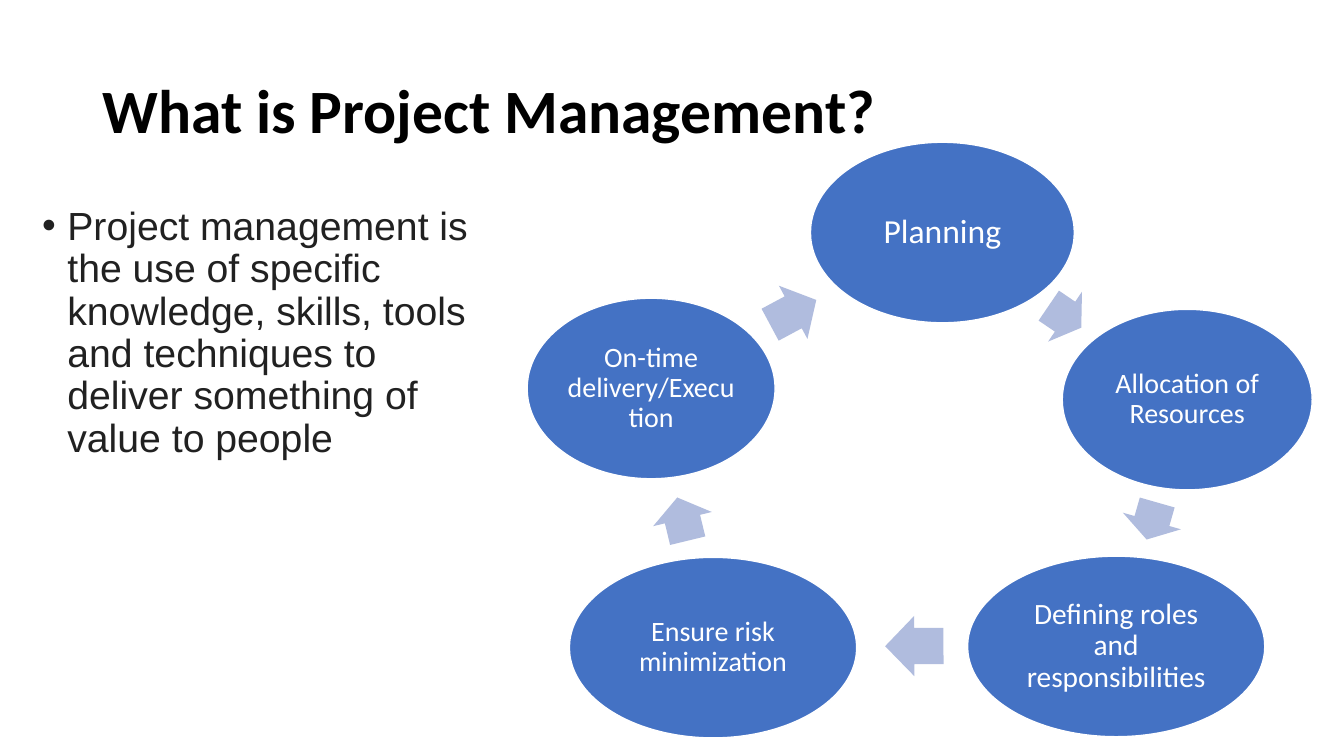
from dataclasses import dataclass

import lxml.etree
import pptx
import pptx.dml.color
import pptx.enum.shapes
import pptx.enum.text
import pptx.oxml.ns
import pptx.util

Cm = pptx.util.Cm
Pt = pptx.util.Pt
SHAPE = pptx.enum.shapes.MSO_SHAPE
ANCHOR = pptx.enum.text.MSO_ANCHOR
ALIGN = pptx.enum.text.PP_ALIGN

BLUE, PALE_BLUE, WHITE = "4472C4", "B0BCDE", "FFFFFF"
STAGE_HEIGHT = 4.55
ARROW_HEIGHT = 1.52


@dataclass
class Stage:
    """An ellipse of the cycle, placed by its centre in cm."""
    text: str
    x: float
    y: float
    width: float
    size: int


@dataclass
class Arrow:
    """A block arrow between two stages, placed by its centre in cm."""
    x: float
    y: float
    width: float
    rotation: float


STAGES = [
    Stage("Planning", 23.75, 5.86, 6.65, 24),
    Stage("Allocation of Resources", 29.92, 10.07, 6.3, 20),
    Stage("Defining roles and responsibilities", 28.13, 16.29, 7.49, 21),
    Stage("Ensure risk minimization", 17.97, 16.32, 7.24, 20),
    Stage("On-time delivery/Execution", 16.41, 9.79, 6.25, 20),
]
ARROWS = [
    Arrow(26.84, 7.98, 0.99, 34.2),
    Arrow(29.03, 13.13, 0.97, 106),
    Arrow(23.04, 16.28, 1.47, 179.8),
    Arrow(17.2, 13.08, 1.12, 256.4),
    Arrow(19.99, 7.87, 1.32, 331.8),
]


def rgb(color: str) -> pptx.dml.color.RGBColor:
    return pptx.dml.color.RGBColor.from_string(color)


def write(tf, text: str, font: str, size: int, color: str, bold: bool = False):
    """Put one run in the first paragraph and return that paragraph."""
    tf.word_wrap = True
    p = tf.paragraphs[0]
    p.line_spacing = 0.9
    r = p.add_run()
    r.text = text
    r.font.name = font
    r.font.size = Pt(size)
    r.font.bold = bold
    r.font.color.rgb = rgb(color)
    return p


def add_bullet(p, indent: float) -> None:
    pPr = p._p.get_or_add_pPr()
    pPr.set("marL", str(Cm(indent)))
    pPr.set("indent", str(-Cm(indent)))
    qn = pptx.oxml.ns.qn
    lxml.etree.SubElement(pPr, qn("a:buFont")).set("typeface", "Arial")
    lxml.etree.SubElement(pPr, qn("a:buChar")).set("char", "•")


def add_centred(s, kind, x: float, y: float, width: float, height: float, fill: str):
    sp = s.shapes.add_shape(kind, Cm(x - width / 2), Cm(y - height / 2),
                            Cm(width), Cm(height))
    sp.shadow.inherit = False
    sp.fill.solid()
    sp.fill.fore_color.rgb = rgb(fill)
    return sp


def add_stage(s, stage: Stage) -> None:
    sp = add_centred(s, SHAPE.OVAL, stage.x, stage.y, stage.width, STAGE_HEIGHT, BLUE)
    sp.line.color.rgb = rgb(WHITE)
    sp.line.width = Pt(1)
    tf = sp.text_frame
    tf.margin_left = tf.margin_right = tf.margin_top = tf.margin_bottom = Cm(0.08)
    tf.vertical_anchor = ANCHOR.MIDDLE
    write(tf, stage.text, "Calibri", stage.size, WHITE).alignment = ALIGN.CENTER


def add_arrow(s, arrow: Arrow) -> None:
    sp = add_centred(s, SHAPE.RIGHT_ARROW, arrow.x, arrow.y, arrow.width,
                     ARROW_HEIGHT, PALE_BLUE)
    sp.line.fill.background()
    sp.adjustments[0] = 0.6
    sp.adjustments[1] = 0.5
    sp.rotation = arrow.rotation


def main() -> None:
    prs = pptx.Presentation()
    prs.slide_width, prs.slide_height = Cm(33.87), Cm(19.05)
    s = prs.slides.add_slide(prs.slide_layouts[6])

    title = s.shapes.add_textbox(Cm(2.33), Cm(1.01), Cm(29.21), Cm(3.68))
    title.text_frame.vertical_anchor = ANCHOR.MIDDLE
    write(title.text_frame, "What is Project Management?", "Calibri", 44, "000000", True)

    body = s.shapes.add_textbox(Cm(0.81), Cm(5.08), Cm(11.23), Cm(12.09))
    p = write(body.text_frame,
              "Project management is the use of specific knowledge, skills, tools "
              "and techniques to deliver something of value to people",
              "Arial", 28, "212121")
    p.space_before = Pt(10)
    add_bullet(p, 0.64)

    for stage, arrow in zip(STAGES, ARROWS):
        add_stage(s, stage)
        add_arrow(s, arrow)

    prs.save("out.pptx")


if __name__ == "__main__":
    main()
